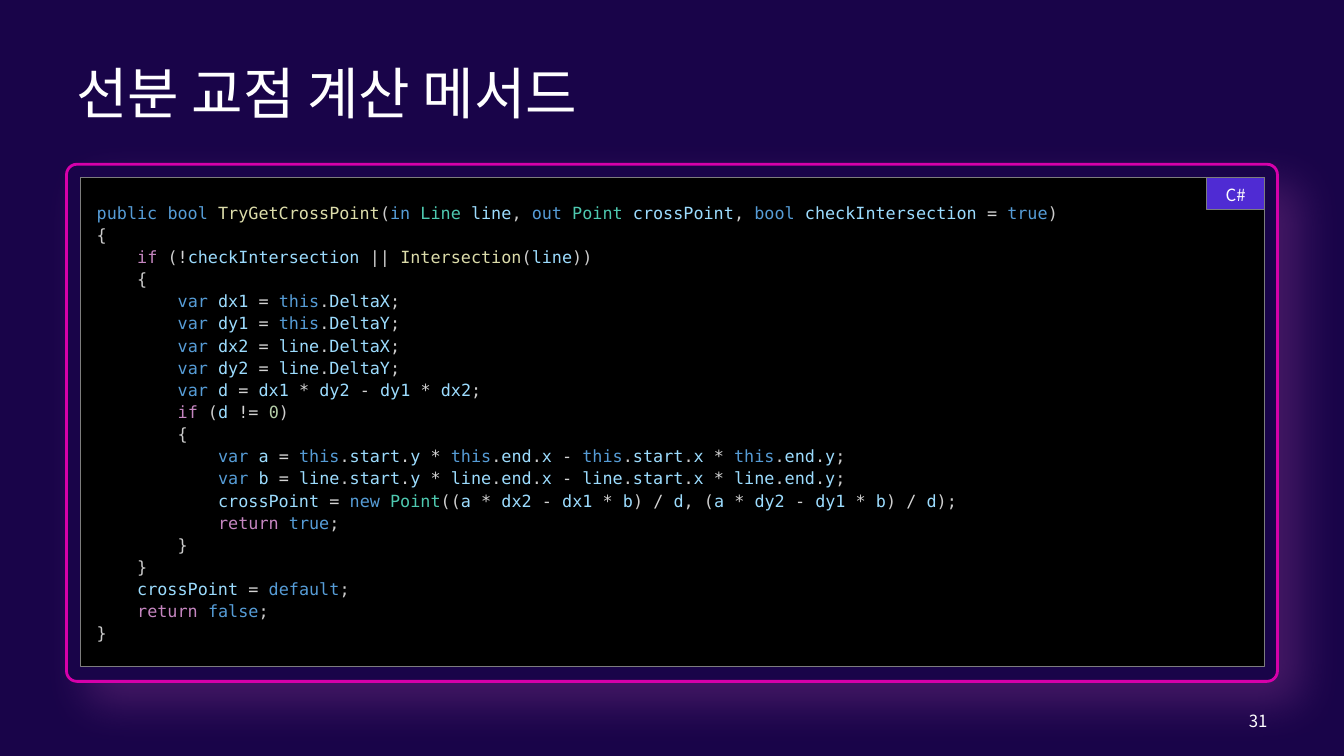
from itertools import groupby

from lxml import etree
from pptx import Presentation
from pptx.dml import color
from pptx.enum import shapes, text
from pptx.oxml import ns
from pptx.util import Inches, Pt

SANS, MONO = "Noto Sans CJK KR", "DejaVu Sans Mono"
WHITE, NAVY, VIOLET, GREY = "FFFFFF", "190449", "4F2BD3", "7D7D7D"
PLAIN, SYMBOL, NAME = "CCCCCC", "D4D4D4", "9CDCFE"
OPERATORS = "=!|*-/"
WORDS = {
    "569CD6": "public bool in out true false var this new default",
    "C586C0": "if return",
    "DCDCAA": "TryGetCrossPoint Intersection",
    "4EC9B0": "Line Point",
    "B5CEA8": "0",
}
TINTS = {word: tint for tint, words in WORDS.items() for word in words.split()}

CODE = """\
public bool TryGetCrossPoint(in Line line, out Point crossPoint, bool checkIntersection = true)
{
    if (!checkIntersection || Intersection(line))
    {
        var dx1 = this.DeltaX;
        var dy1 = this.DeltaY;
        var dx2 = line.DeltaX;
        var dy2 = line.DeltaY;
        var d = dx1 * dy2 - dy1 * dx2;
        if (d != 0)
        {
            var a = this.start.y * this.end.x - this.start.x * this.end.y;
            var b = line.start.y * line.end.x - line.start.x * line.end.y;
            crossPoint = new Point((a * dx2 - dx1 * b) / d, (a * dy2 - dy1 * b) / d);
            return true;
        }
    }
    crossPoint = default;
    return false;
}"""


def rgb(value):
    return color.RGBColor.from_string(value)


def style(para, font, size, align, tint=WHITE):
    """Set a paragraph's alignment and font, for Latin and Korean letters."""
    para.alignment = align
    para.font.size = Pt(size)
    para.font.color.rgb = rgb(tint)
    para.font.name = font
    base = para._p.pPr.find(ns.qn("a:defRPr"))
    etree.SubElement(base, ns.qn("a:ea"), typeface=font)


deck = Presentation()
deck.slide_width, deck.slide_height = Inches(13.33), Inches(7.5)
slide = deck.slides.add_slide(deck.slide_layouts[6])
slide.background.fill.solid()
slide.background.fill.fore_color.rgb = rgb(NAVY)

# Frame, code panel and language tag
kinds = shapes.MSO_SHAPE
panels = []
for kind, box, fill, line, width in [
    (kinds.ROUNDED_RECTANGLE, (0.66, 1.63, 12.01, 5.13), NAVY, "D600AA", 2),
    (kinds.RECTANGLE, (0.8, 1.76, 11.74, 4.85), "000000", GREY, 0.75),
    (kinds.RECTANGLE, (11.97, 1.76, 0.57, 0.32), VIOLET, GREY, 0.75),
]:
    panel = slide.shapes.add_shape(kind, *map(Inches, box))
    panel.shadow.inherit = False
    panel.fill.solid()
    panel.fill.fore_color.rgb = rgb(fill)
    panel.line.color.rgb = rgb(line)
    panel.line.width = Pt(width)
    panels.append(panel)
frame, board, tag = panels

# Soft pink glow below and to the right of the frame
frame.adjustments[0] = 0.02
glow = etree.SubElement(
    frame._element.spPr.find(ns.qn("a:effectLst")), ns.qn("a:outerShdw"),
    blurRad=str(Pt(32)), dist=str(Pt(21)), dir=str(45 * 60000),
    algn="tl", rotWithShape="0")
tone = etree.SubElement(glow, ns.qn("a:srgbClr"), val="E566CC")
etree.SubElement(tone, ns.qn("a:alpha"), val="22000")

# Title, page number and tag wording
left, center, right = text.PP_ALIGN.LEFT, text.PP_ALIGN.CENTER, text.PP_ALIGN.RIGHT
title = slide.shapes.add_textbox(*map(Inches, (0.66, 0.4, 12.01, 1.03)))
page = slide.shapes.add_textbox(*map(Inches, (11.11, 6.95, 1.56, 0.4)))
for shape, words, size, align in [
    (title, "선분 교점 계산 메서드", 40, left),
    (page, "31", 12, right),
    (tag, "C#", 12, center),
]:
    body = shape.text_frame
    body.word_wrap = True
    body.vertical_anchor = text.MSO_ANCHOR.MIDDLE
    body.text = words
    style(body.paragraphs[0], SANS, size, align)
body = tag.text_frame
body.margin_left = body.margin_right = body.margin_top = body.margin_bottom = 0
body.paragraphs[0].line_spacing = 1.1

# Code, coloured word by word
body = board.text_frame
body.word_wrap = True
body.vertical_anchor = text.MSO_ANCHOR.MIDDLE
body.margin_left = body.margin_right = Inches(0.16)
body.margin_top = body.margin_bottom = Inches(0.12)
for row, line in enumerate(CODE.split("\n")):
    para = body.add_paragraph() if row else body.paragraphs[0]
    para.line_spacing = 1.1
    style(para, MONO, 12, left, PLAIN)
    for kind, chars in groupby(
            line, lambda c: NAME if c.isalnum() else SYMBOL if c in OPERATORS else PLAIN):
        run = para.add_run()
        run.text = "".join(chars)
        run.font.color.rgb = rgb(TINTS.get(run.text, kind))

deck.save("out.pptx")
